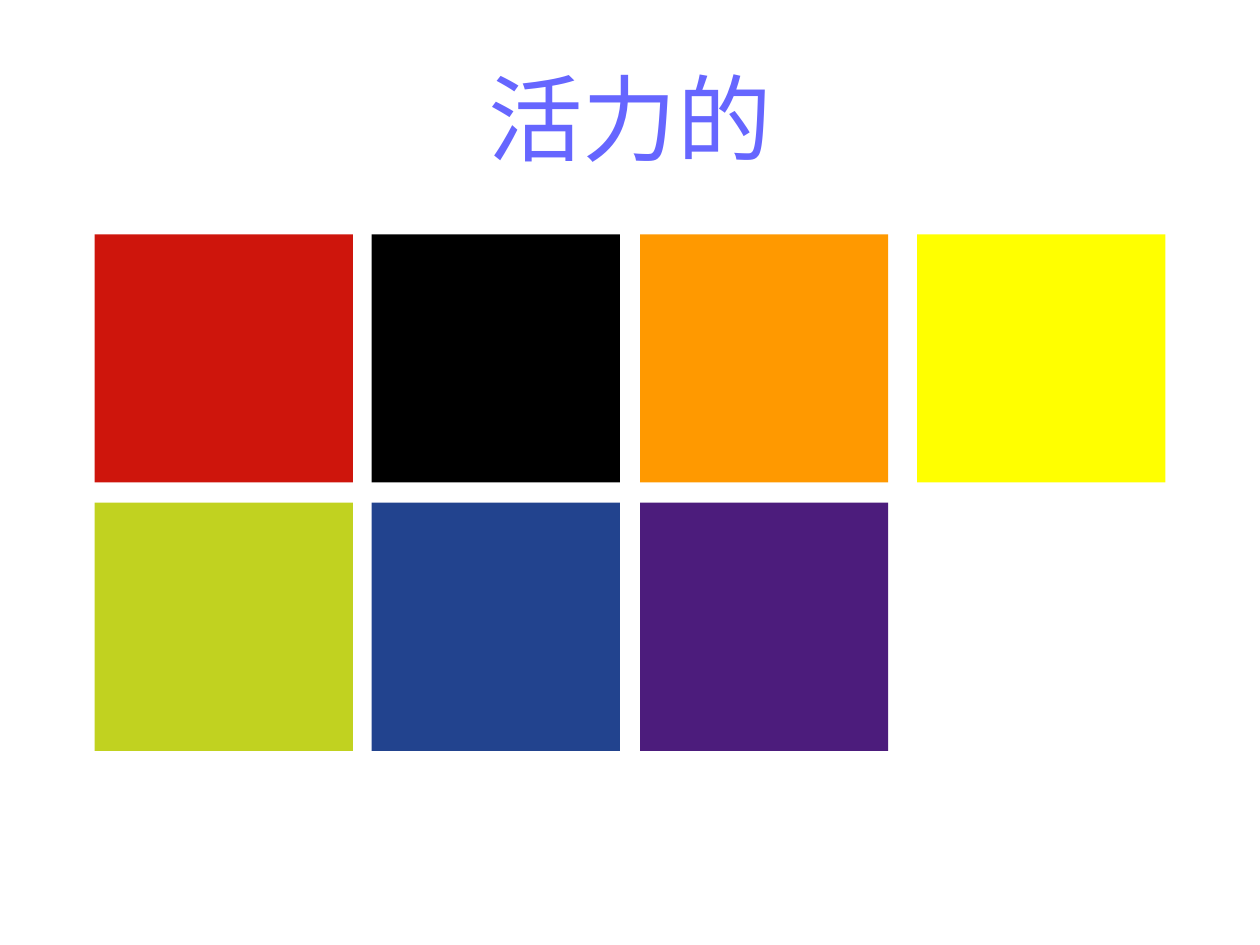
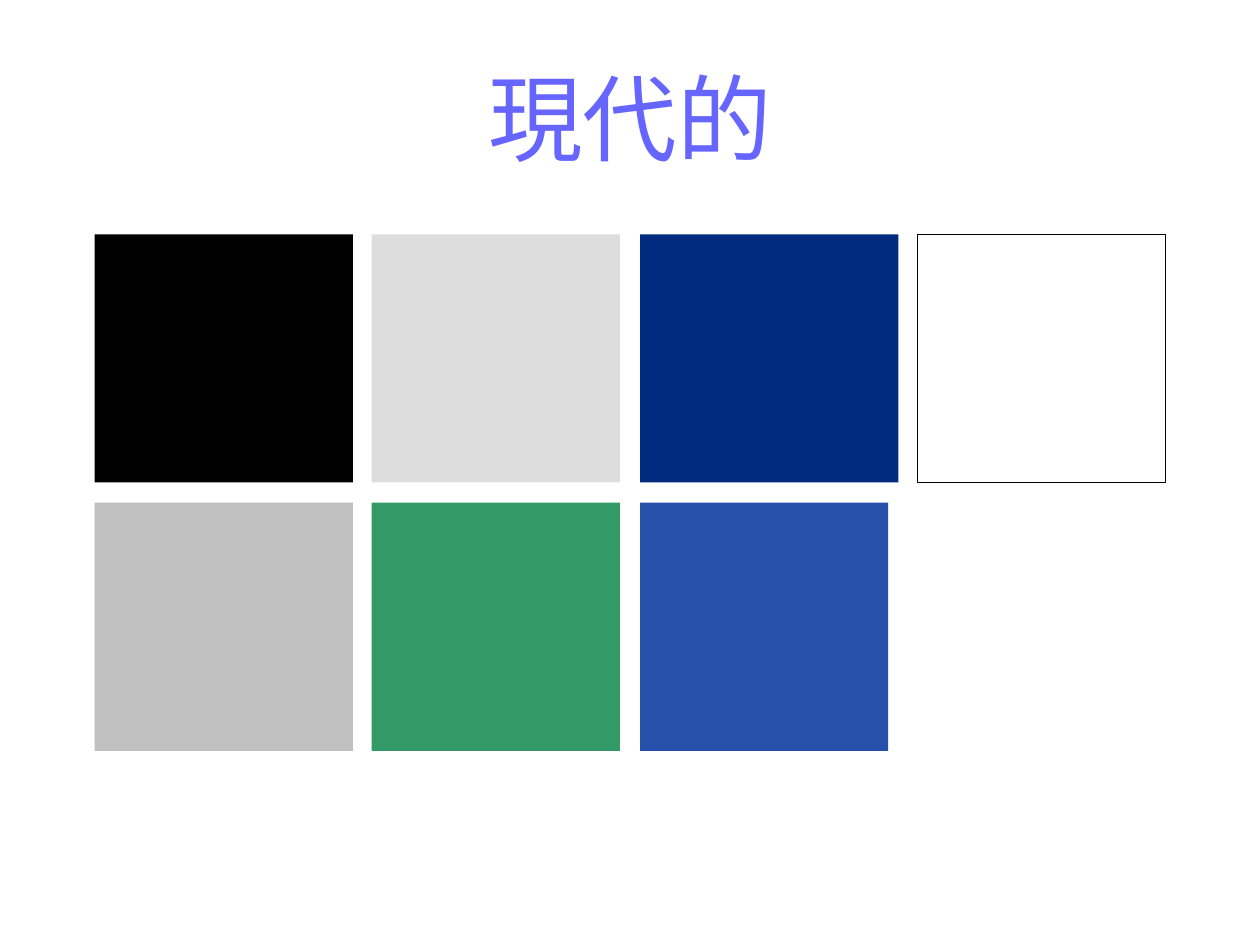
from dataclasses import dataclass

from pptx import Presentation
from pptx import slide as s
from pptx import util as u
from pptx.dml import color
from pptx.enum import shapes, text

COLORS = {
    "title": "6666FF",
    "background": "FFFFFF",
    "red": "CE150C",
    "black": "000000",
    "orange": "FF9900",
    "yellow": "FFFF00",
    "lime": "C1D220",
    "royal": "22438E",
    "purple": "4C1C7C",
    "pale gray": "DDDDDD",
    "navy": "002A7E",
    "white": "FFFFFF",
    "silver": "C0C0C0",
    "green": "339966",
    "blue": "2750AB",
}
COLUMN_LEFTS = (0.75, 2.95, 5.08, 7.28)
GRID_TOP = 1.86
ROW_STEP = 2.13
SIDE = 1.97
WIDE = 2.05


@dataclass(frozen=True)
class Swatch:
    fill: str
    width: float = SIDE
    outline: str | None = None


@dataclass(frozen=True)
class Palette:
    title: str
    swatches: tuple[Swatch, ...]


PALETTES = (
    Palette("活力的", (
        Swatch("red", WIDE), Swatch("black"), Swatch("orange"), Swatch("yellow"),
        Swatch("lime", WIDE), Swatch("royal"), Swatch("purple"),
    )),
    Palette("現代的", (
        Swatch("black", WIDE), Swatch("pale gray"), Swatch("navy", WIDE),
        Swatch("white", outline="black"),
        Swatch("silver", WIDE), Swatch("green"), Swatch("blue"),
    )),
)


def rgb(name: str) -> color.RGBColor:
    return color.RGBColor.from_string(COLORS[name])


def add_text(slide: s.Slide, content: str, *, left: float, top: float,
             width: float, height: float, size: float, fill: str,
             font: str = "Arial") -> None:
    shape = slide.shapes.add_textbox(
        u.Inches(left), u.Inches(top), u.Inches(width), u.Inches(height))
    frame = shape.text_frame
    frame.word_wrap = True
    frame.vertical_anchor = text.MSO_ANCHOR.MIDDLE
    paragraph = frame.paragraphs[0]
    paragraph.text = content
    paragraph.alignment = text.PP_ALIGN.CENTER
    paragraph.font.name = font
    paragraph.font.size = u.Pt(size)
    paragraph.font.color.rgb = rgb(fill)


def add_swatch(slide: s.Slide, swatch: Swatch, left: float, top: float) -> None:
    shape = slide.shapes.add_shape(
        shapes.MSO_SHAPE.RECTANGLE, u.Inches(left), u.Inches(top),
        u.Inches(swatch.width), u.Inches(SIDE))
    shape.shadow.inherit = False
    shape.fill.solid()
    shape.fill.fore_color.rgb = rgb(swatch.fill)
    if swatch.outline:
        shape.line.color.rgb = rgb(swatch.outline)
        shape.line.width = u.Pt(0.75)
    else:
        shape.line.fill.background()


def add_palette_slide(presentation, palette: Palette) -> None:
    slide = presentation.slides.add_slide(presentation.slide_layouts[6])
    slide.background.fill.solid()
    slide.background.fill.fore_color.rgb = rgb("background")
    add_text(slide, palette.title, left=0.5, top=0.3, width=9, height=1.25,
             size=54, fill="title")
    for index, swatch in enumerate(palette.swatches):
        row, column = divmod(index, len(COLUMN_LEFTS))
        add_swatch(slide, swatch, COLUMN_LEFTS[column], GRID_TOP + row * ROW_STEP)


def main() -> None:
    presentation = Presentation()
    presentation.slide_width = u.Inches(10)
    presentation.slide_height = u.Inches(7.5)
    for palette in PALETTES:
        add_palette_slide(presentation, palette)
    presentation.save("out.pptx")


if __name__ == "__main__":
    main()
